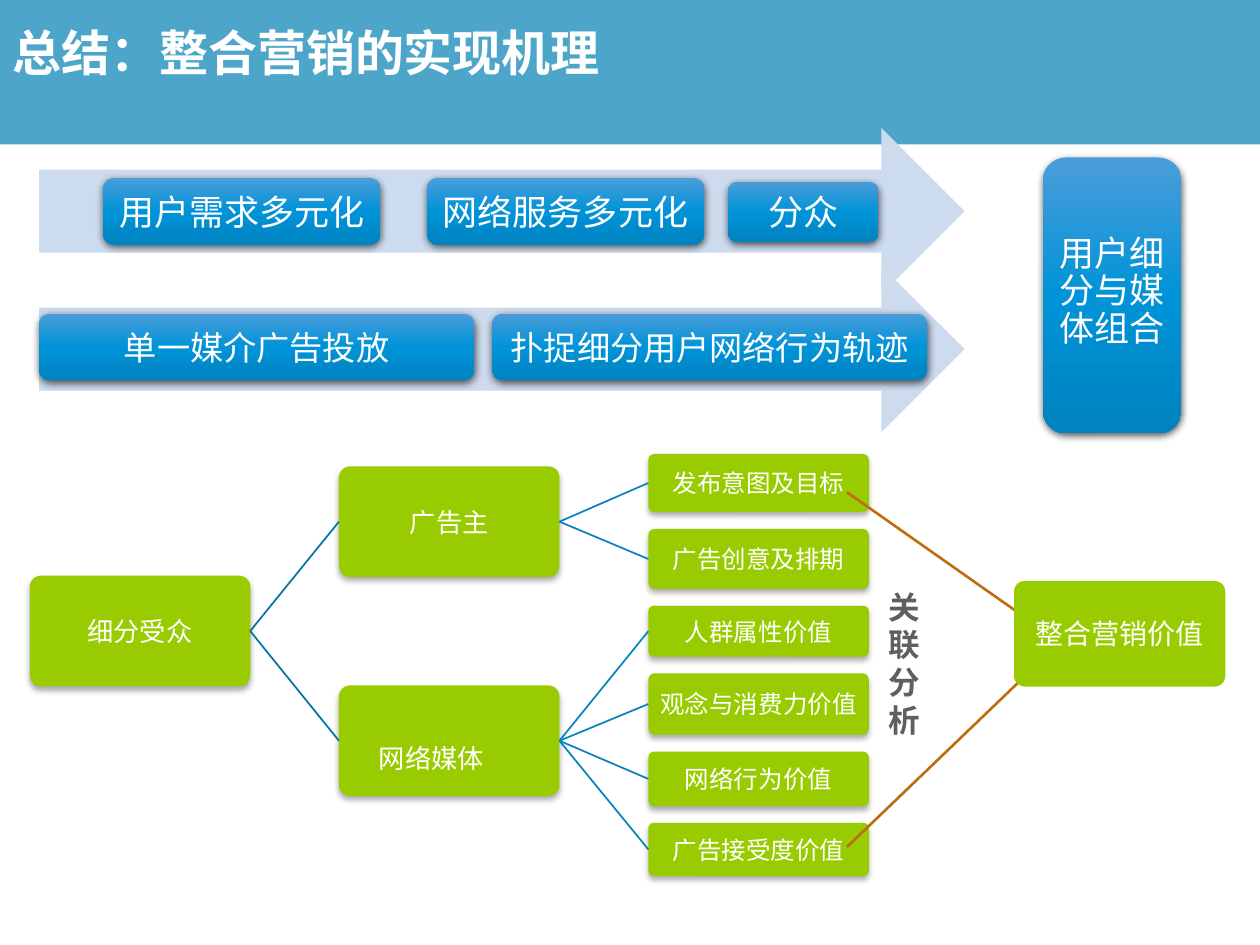
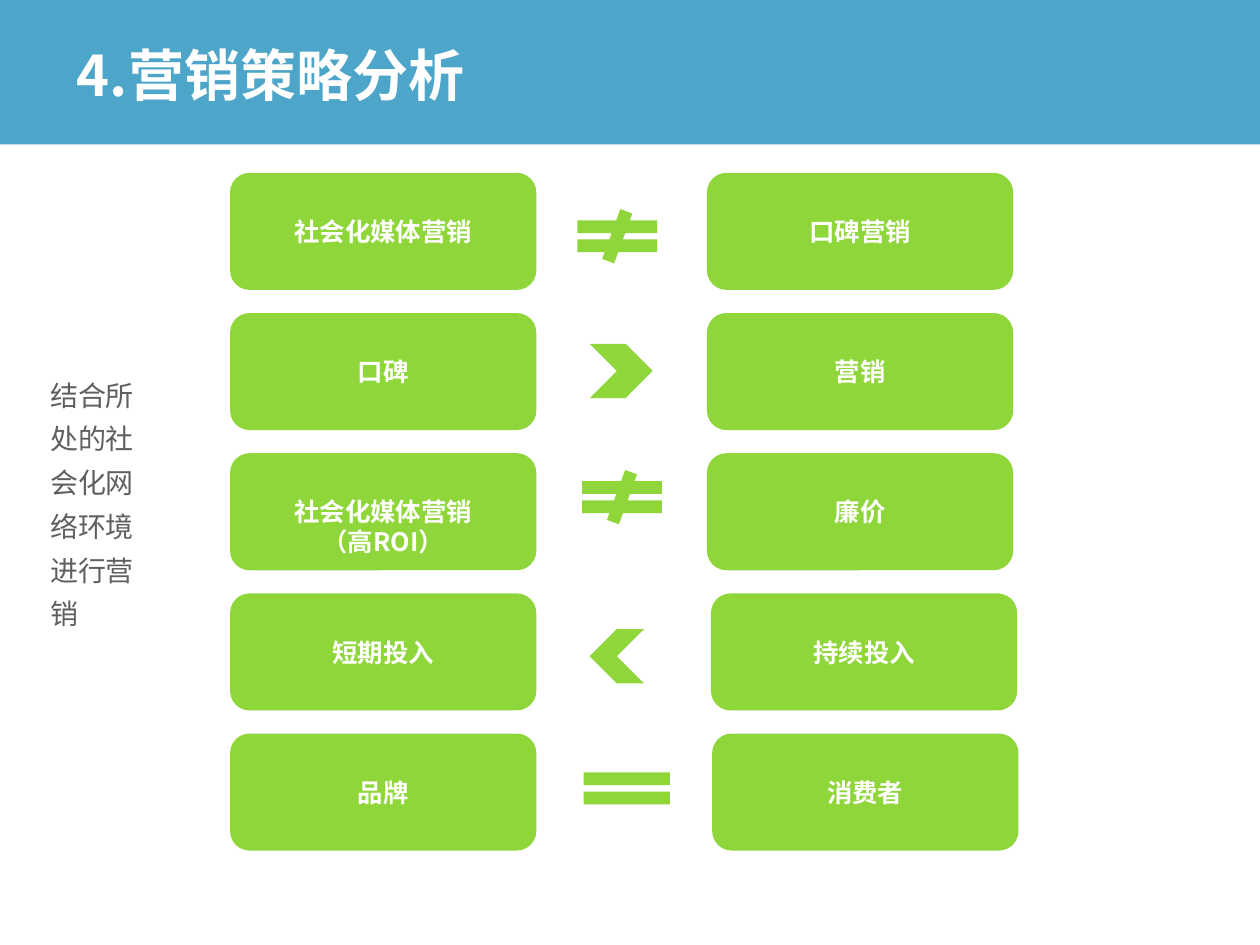
from copy import deepcopy

from lxml import etree
from pptx import Presentation
from pptx.dml.color import RGBColor
from pptx.enum.shapes import MSO_CONNECTOR, MSO_SHAPE
from pptx.enum.text import MSO_ANCHOR, PP_ALIGN
from pptx.oxml.ns import qn
from pptx.util import Pt

# Shared style
BAND = RGBColor(0x4D, 0xA6, 0xC9)
WHITE = RGBColor(0xFF, 0xFF, 0xFF)
GREY = RGBColor(0x5F, 0x5F, 0x5F)
PALE_BLUE = RGBColor(0xCC, 0xDB, 0xEE)
BLUES = (
    RGBColor(0x4B, 0x9D, 0xDA),
    RGBColor(0x00, 0x93, 0xD8),
    RGBColor(0x00, 0x83, 0xC0),
)
OLIVE = RGBColor(0x99, 0xCC, 0x00)
LIME = RGBColor(0x8F, 0xD6, 0x3A)
TRUNK = RGBColor(0x06, 0x73, 0xA7)
TWIG = RGBColor(0x07, 0x83, 0xBD)
ORANGE = RGBColor(0xBD, 0x6E, 0x11)

SANS = "Noto Sans CJK SC"
SERIF = "Times New Roman"
ARIAL = "Arial"

ROUND = MSO_SHAPE.ROUNDED_RECTANGLE
RECTANGLE = MSO_SHAPE.RECTANGLE
RIGHT_ARROW = MSO_SHAPE.RIGHT_ARROW
CHEVRON = MSO_SHAPE.CHEVRON
NOT_EQUAL = MSO_SHAPE.MATH_NOT_EQUAL
EQUAL = MSO_SHAPE.MATH_EQUAL
STRAIGHT = MSO_CONNECTOR.STRAIGHT
LEFT, CENTER = PP_ALIGN.LEFT, PP_ALIGN.CENTER
TOP, MIDDLE = MSO_ANCHOR.TOP, MSO_ANCHOR.MIDDLE

LEFT_SITE, RIGHT_SITE = 1, 3
TITLE_ONLY = 5
# Shadow: opacity in percent, blur and distance in points
STRONG_SHADOW = (63, 4.5, 1.5)
SOFT_SHADOW = (32, 3.5, 2.2)
INSETS = (4, 3.6, 4, 3.6)
TEXT_BOX_INSETS = (7.2, 3.6, 7.2, 3.6)


class Builder:
    """Holds the deck, its style and the current page."""

    def __init__(self):
        self.deck = Presentation()
        self.deck.slide_width, self.deck.slide_height = Pt(720), Pt(540)
        self.layout = self.deck.slide_layouts[TITLE_ONLY]
        self.page = None
        self.band_done = False

    def new_page(self, title, at, size):
        self.page = self.deck.slides.add_slide(self.layout)
        if not self.band_done:
            self.add_band()
        holder = self.page.shapes.title
        holder.left, holder.top, holder.width, holder.height = map(Pt, at)
        self.set_text(holder.text_frame, [title], size, SANS, WHITE, bold=True,
                      align=LEFT, insets=TEXT_BOX_INSETS, spacing=0.9)

    def add_band(self):
        """Draw the title band and move it to the layout, for every page."""
        band = self.shape(RECTANGLE, (-1, -1, 721, 83.5), BAND)
        band.element.nvSpPr.cNvPr.set("id", "99")
        self.layout.placeholders[0].element.addprevious(band.element)
        self.band_done = True

    def set_text(self, frame, lines, size, font, color, bold=False,
                 align=CENTER, anchor=MIDDLE, insets=INSETS, spacing=None):
        frame.word_wrap = True
        frame.vertical_anchor = anchor
        (frame.margin_left, frame.margin_top,
         frame.margin_right, frame.margin_bottom) = map(Pt, insets)
        for index, line in enumerate(lines):
            para = frame.add_paragraph() if index else frame.paragraphs[0]
            para.alignment = align
            para.line_spacing = spacing
            span = para.add_run()
            span.text = line
            span.font.name = font
            span.font.size = Pt(size)
            span.font.bold = bold
            span.font.color.rgb = color
            east_asian = etree.SubElement(span.font._element, qn("a:ea"))
            east_asian.set("typeface", SANS)

    def shape(self, kind, at, fill, corner=None, shadow=None):
        shape = self.page.shapes.add_shape(kind, *map(Pt, at))
        shape.line.fill.background()
        shape.shadow.inherit = False
        if isinstance(fill, RGBColor):
            shape.fill.solid()
            shape.fill.fore_color.rgb = fill
        else:
            self.fill_gradient(shape, fill)
        if corner:
            shape.adjustments[0] = corner
        if shadow:
            self.cast_shadow(shape, *shadow)
        return shape

    def fill_gradient(self, shape, colors):
        shape.fill.gradient()
        shape.fill.gradient_angle = 270
        stop_list = shape.element.spPr.find(".//" + qn("a:gsLst"))
        stop_list.insert(1, deepcopy(stop_list[0]))
        for index, stop in enumerate(shape.fill.gradient_stops):
            stop.position = index / (len(colors) - 1)
            stop.color.rgb = colors[index]

    def cast_shadow(self, shape, opacity, blur, distance):
        effects = shape.element.spPr.find(qn("a:effectLst"))
        outer = etree.SubElement(
            effects, qn("a:outerShdw"), blurRad=str(Pt(blur)),
            dist=str(Pt(distance)), dir="5400000", rotWithShape="0")
        color = etree.SubElement(outer, qn("a:srgbClr"), val="000000")
        etree.SubElement(color, qn("a:alpha"), val=str(opacity * 1000))

    def blue_box(self, text, at, size, **style):
        box = self.shape(ROUND, at, BLUES, shadow=STRONG_SHADOW)
        self.set_text(box.text_frame, [text], size, SERIF, WHITE, **style)

    def olive_box(self, text, at, size, shadow=SOFT_SHADOW, **style):
        box = self.shape(ROUND, at, OLIVE, corner=0.1, shadow=shadow)
        self.set_text(box.text_frame, [text], size, SERIF, WHITE, **style)
        return box

    def lime_box(self, lines, at, **style):
        box = self.shape(ROUND, at, LIME)
        self.set_text(box.text_frame, lines, 14.5, SANS, WHITE, bold=True,
                      **style)

    def text_box(self, text, at, size, font, spacing, bold=False):
        box = self.page.shapes.add_textbox(*map(Pt, at))
        self.set_text(box.text_frame, [text], size, font, GREY, bold=bold,
                      align=LEFT, anchor=TOP, insets=TEXT_BOX_INSETS,
                      spacing=Pt(spacing))

    def line(self, start, end, color, width):
        line = self.page.shapes.add_connector(
            STRAIGHT, *map(Pt, start + end))
        line.line.color.rgb = color
        line.line.width = Pt(width)
        etree.SubElement(line.element.spPr, qn("a:effectLst"))
        return line

    def branch(self, parent, child, color):
        line = self.line((0, 0), (10, 10), color, 1)
        line.begin_connect(parent, RIGHT_SITE)
        line.end_connect(child, LEFT_SITE)


def build_mechanism(builder):
    builder.new_page("总结：整合营销的实现机理", (0, 0, 648, 63.4), 28)

    # Two arrows with their steps: text, left, top, width, height
    arrows = [
        (73.2, 20, [("用户需求多元化", 59, 101.7, 158.4, 38),
                    ("网络服务多元化", 244, 101.7, 158.4, 38),
                    ("分众", 416, 103.8, 86, 34.5)]),
        (152, 19, [("单一媒介广告投放", 22.4, 179.2, 248.6, 38),
                   ("扑捉细分用户网络行为轨迹", 281.3, 179.2, 248.6, 38)]),
    ]
    for top, size, steps in arrows:
        builder.shape(RIGHT_ARROW, (22.4, top, 528.8, 95), PALE_BLUE)
        for text, *at in steps:
            builder.blue_box(text, at, size)
    builder.blue_box("用户细分与媒体组合", (596, 90, 79, 157.7), 20,
                     insets=(4, 3.6, 4, 7.6), spacing=Pt(21.5))

    # Tree of audience, players and their values
    node = (126, 63.2)
    audience = builder.olive_box("细分受众", (17, 329, *node), 15)
    advertiser = builder.olive_box("广告主", (193.7, 266.5, *node), 15)
    media = builder.olive_box("网络媒体", (193.7, 391.7, *node), 15,
                              align=LEFT, insets=(21, 20, 0, 0))
    for player in (advertiser, media):
        builder.branch(audience, player, TRUNK)
    leaves = [
        (advertiser, "发布意图及目标", 259.4, 33.2),
        (advertiser, "广告创意及排期", 302.3, 34.3),
        (media, "人群属性价值", 346.2, 29),
        (media, "观念与消费力价值", 384.8, 35),
        (media, "网络行为价值", 429.5, 31.2),
        (media, "广告接受度价值", 470.2, 30.4),
    ]
    for parent, text, top, height in leaves:
        leaf = builder.olive_box(text, (370.5, top, 126, height), 14,
                                 insets=(1, 1, 1, 1))
        builder.branch(parent, leaf, TWIG)

    # Link analysis leading to the final value
    builder.line((484, 281.3), (596, 360), ORANGE, 1.5)
    builder.line((484, 484), (596, 376.5), ORANGE, 1.5)
    builder.olive_box("整合营销价值", (579.5, 332, 120.7, 60.3), 16,
                      shadow=None)
    builder.text_box("关联分析", (500.4, 332.5, 28, 94.3), 18, SANS, 21.5,
                     bold=True)


def build_strategy(builder):
    builder.new_page("4.营销策略分析", (36.7, 13.7, 646.6, 62.6), 32)

    # Rows of compared terms: left lines, right text, right box start
    rows = [
        (["社会化媒体营销"], "口碑营销", 404),
        (["口碑"], "营销", 404),
        (["社会化媒体营销", "（高ROI）"], "廉价", 404),
        (["短期投入"], "持续投入", 406.3),
        (["品牌"], "消费者", 407),
    ]
    for index, (terms, counterpart, right) in enumerate(rows):
        top = 98.8 + index * 80.1
        if len(terms) > 1:
            style = {"insets": (4, 21, 4, 3.6), "spacing": Pt(17)}
        else:
            style = {}
        builder.lime_box(terms, (131.5, top, 175, 66.9), **style)
        builder.lime_box([counterpart], (right, top, 175, 66.9))

    # Relation signs between the terms
    signs = [
        (NOT_EQUAL, (321.8, 119.5, 61.9, 31), 0),
        (CHEVRON, (337, 196.5, 36, 31), 0),
        (NOT_EQUAL, (324.5, 268.6, 61.9, 31), 0),
        (CHEVRON, (337, 359.5, 31, 31), 180),
        (EQUAL, (324.7, 435, 67, 31), 0),
    ]
    for kind, at, rotation in signs:
        builder.shape(kind, at, LIME).rotation = rotation

    # Side note
    builder.text_box("结合所处的社会化网络环境进行营销",
                     (21.6, 206.7, 71.3, 158.4), 16, ARIAL, 25)


def main():
    builder = Builder()
    build_mechanism(builder)
    build_strategy(builder)
    builder.deck.save("out.pptx")


if __name__ == "__main__":
    main()
